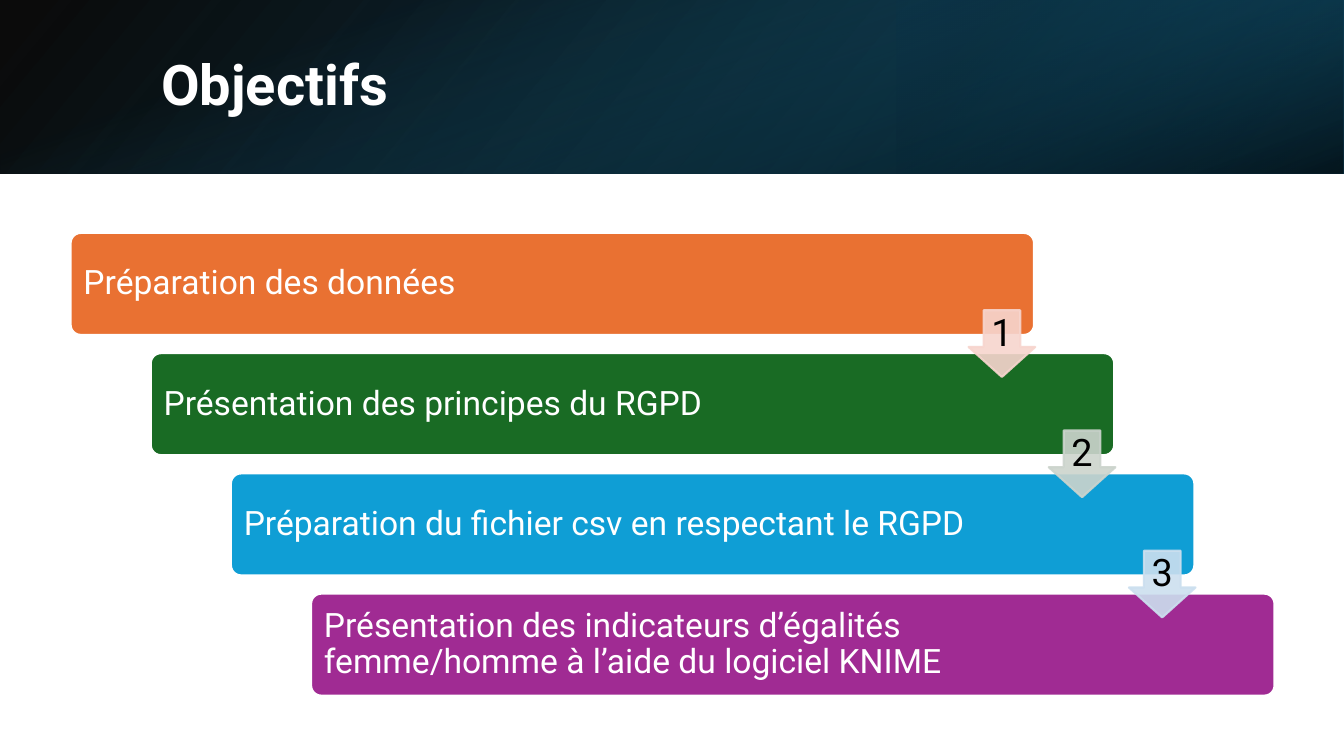
from dataclasses import dataclass

from lxml import etree
from pptx import Presentation
from pptx.dml.color import RGBColor
from pptx.enum.shapes import MSO_SHAPE
from pptx.enum.text import MSO_ANCHOR, MSO_AUTO_SIZE, PP_ALIGN
from pptx.oxml.ns import qn
from pptx.util import Cm, Pt

RECT = MSO_SHAPE.RECTANGLE
ROUND = MSO_SHAPE.ROUNDED_RECTANGLE
DOWN = MSO_SHAPE.DOWN_ARROW
LEFT, CENTER = PP_ALIGN.LEFT, PP_ALIGN.CENTER
FONT = "Roboto"
WIDE, HIGH, BAND_H = 33.87, 19.05, 4.37
STEP_X, STEP_Y = 2.02, 3.03


@dataclass
class Stop:
    pos: float
    color: str
    alpha: int


@dataclass
class Band:
    box: tuple[float, float, float, float]
    stops: tuple[Stop, Stop]
    angle: int
    turn: int = 0
    flip: bool = False


@dataclass
class Step:
    text: str
    color: str
    arrow: str = ""


SIDE = (WIDE - BAND_H) / 2
BANDS = [
    Band((0, 0, WIDE, BAND_H),
         (Stop(0, "000000", 96), Stop(1, "104862", 100)), 140, flip=True),
    Band((22.59, 0, 11.28, BAND_H),
         (Stop(0.19, "0B3041", 68), Stop(1, "156082", 79)), 320, 180, True),
    Band((SIDE, -SIDE, BAND_H, WIDE),
         (Stop(0.23, "156082", 0), Stop(0.99, "000000", 74)), 340, 90),
]
STEPS = [
    Step("Préparation des données", "E97132", "F7D5CE"),
    Step("Présentation des principes du RGPD", "196B24", "CCD4CD"),
    Step("Préparation du fichier csv en respectant le RGPD", "0F9ED5", "CCDFEF"),
    Step("Présentation des indicateurs d’égalités femme/homme "
         "à l’aide du logiciel KNIME", "A02B93"),
]


def rgb(code: str) -> RGBColor:
    return RGBColor.from_string(code)


def fade(shape, alphas: list[int]) -> None:
    """Set the opacity, in percent, of the shape's colours in order."""
    tints = list(shape._element.spPr.iter(qn("a:srgbClr")))
    for tint, alpha in zip(tints, alphas):
        etree.SubElement(tint, qn("a:alpha")).set("val", str(alpha * 1000))


def add_shape(slide, kind, box: tuple):
    shape = slide.shapes.add_shape(kind, *map(Cm, box))
    shape.shadow.inherit = False
    return shape


def paint(shape, fill: str, line: str) -> None:
    shape.fill.solid()
    shape.fill.fore_color.rgb = rgb(fill)
    shape.line.color.rgb = rgb(line)
    shape.line.width = Pt(1.5)


def write(shape, text: str, size: int, color: str, align, bold: bool = False) -> None:
    frame = shape.text_frame
    frame.text = text
    frame.word_wrap = True
    frame.auto_size = MSO_AUTO_SIZE.NONE
    frame.vertical_anchor = MSO_ANCHOR.MIDDLE
    para = frame.paragraphs[0]
    para.alignment = align
    para.line_spacing = 0.9
    font = para.runs[0].font
    font.name, font.size, font.bold = FONT, Pt(size), bold
    font.color.rgb = rgb(color)


def inset(shape, left: float, top: float, right: float, bottom: float) -> None:
    frame = shape.text_frame
    frame.margin_left, frame.margin_top = Cm(left), Cm(top)
    frame.margin_right, frame.margin_bottom = Cm(right), Cm(bottom)


def add_band(slide, band: Band) -> None:
    shape = add_shape(slide, RECT, band.box)
    shape.rotation = band.turn
    shape.line.fill.background()
    shape.fill.gradient()
    shape.fill.gradient_angle = 360 - band.angle
    for slot, stop in zip(shape.fill.gradient_stops, band.stops):
        slot.position = stop.pos
        slot.color.rgb = rgb(stop.color)
    fade(shape, [stop.alpha for stop in band.stops])
    if band.flip:
        shape._element.spPr.find(qn("a:xfrm")).set("flipH", "1")


def add_title(slide, text: str) -> None:
    title = slide.shapes.title
    title.left, title.top = Cm(3.81), Cm(0.97)
    title.width, title.height = Cm(27.89), Cm(2.44)
    write(title, text, 40, "FFFFFF", LEFT, True)
    slide.shapes._spTree.append(title._element)  # in front of the bands


def add_bar(slide, row: int, step: Step) -> None:
    box = (1.78 + row * STEP_X, 5.87 + row * STEP_Y, 24.28, 2.57)
    bar = add_shape(slide, ROUND, box)
    bar.adjustments[0] = 0.1
    paint(bar, step.color, "FFFFFF")
    inset(bar, 0.25, 0.25, 3.94, 0.25)
    write(bar, step.text, 24, "FFFFFF", LEFT)


def add_arrow(slide, row: int, step: Step) -> None:
    box = (24.41 + row * STEP_X, 7.82 + row * STEP_Y, 1.68, 1.68)
    arrow = add_shape(slide, DOWN, box)
    arrow.adjustments[0], arrow.adjustments[1] = 0.55, 0.45
    paint(arrow, step.arrow, step.arrow)
    fade(arrow, [90, 90])
    inset(arrow, 0.1, 0.1, 0.1, 0.18)
    write(arrow, str(row + 1), 27, "000000", CENTER)


def main() -> None:
    deck = Presentation()
    deck.slide_width, deck.slide_height = Cm(WIDE), Cm(HIGH)
    slide = deck.slides.add_slide(deck.slide_layouts.get_by_name("Title Only"))
    for band in BANDS:
        add_band(slide, band)
    add_title(slide, "Objectifs")
    for row, step in enumerate(STEPS):
        add_bar(slide, row, step)
    for row, step in enumerate(STEPS):
        if step.arrow:
            add_arrow(slide, row, step)
    deck.save("out.pptx")


if __name__ == "__main__":
    main()
